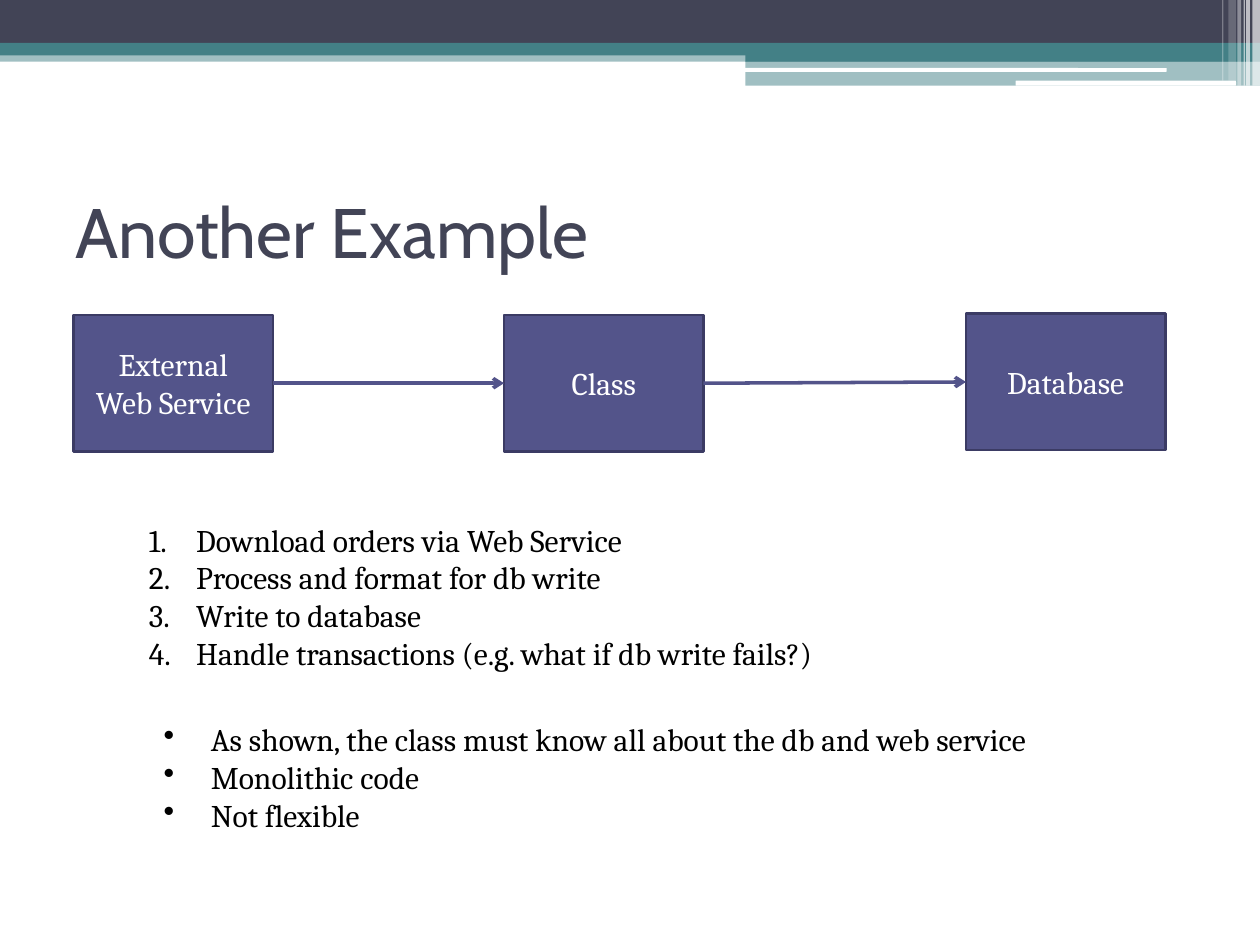
"""Build the "Another Example" slide on a grid of 120 columns by 90 rows."""
from dataclasses import dataclass

from lxml.etree import SubElement
from pptx import Presentation
from pptx.dml.color import RGBColor
from pptx.enum.shapes import MSO_CONNECTOR, MSO_SHAPE
from pptx.enum.text import MSO_ANCHOR, PP_ALIGN
from pptx.oxml.ns import qn
from pptx.util import Inches, Pt


@dataclass(frozen=True)
class Theme:
    dark: RGBColor = RGBColor.from_string("424456")
    teal: RGBColor = RGBColor.from_string("438086")
    white: RGBColor = RGBColor.from_string("FFFFFF")
    black: RGBColor = RGBColor.from_string("000000")
    violet: RGBColor = RGBColor.from_string("53548A")
    border: RGBColor = RGBColor.from_string("3B3B64")
    title_font: str = "Cabin"
    body_font: str = "Cambria"
    title_size: int = 40
    body_size: int = 18


theme = Theme()
presentation = Presentation()
presentation.slide_width = Inches(10)
presentation.slide_height = Inches(7.5)
slide = presentation.slides.add_slide(presentation.slide_layouts[6])
unit = presentation.slide_width / 120


def add_block(kind, area, color, opacity=100):
    shape = slide.shapes.add_shape(kind, *(round(value * unit) for value in area))
    shape.shadow.inherit = False
    shape.fill.solid()
    shape.fill.fore_color.rgb = color
    shape.line.fill.background()
    if opacity < 100:
        fill_color = shape.fill._xPr.find(qn("a:solidFill"))[0]
        SubElement(fill_color, qn("a:alpha"), val=str(opacity * 1000))
    return shape


def add_text(paragraph, text, color, font=theme.body_font, size=theme.body_size):
    run = paragraph.add_run()
    run.text = text
    run.font.name = font
    run.font.size = Pt(size)
    run.font.color.rgb = color


header_bands = [
    ((0, 4.8, 120, 1.08), theme.teal, 50),
    ((0, 0, 120, 4.08), theme.dark, 100),
    ((0, 4.08, 120, 1.2), theme.teal, 100),
    ((71, 4.68, 49, 1.2), theme.teal, 100),
    ((71, 5.8, 49, 2.36), theme.teal, 50),
]
for area, color, opacity in header_bands:
    add_block(MSO_SHAPE.RECTANGLE, area, color, opacity)

for area in [(70.92, 6.48, 40.2, 0.36), (96.72, 7.68, 21, 0.48)]:
    add_block(MSO_SHAPE.ROUNDED_RECTANGLE, area, theme.white)

header_stripes = [
    (119.28, 0.72, 8.16, 65),
    (118.68, 0.36, 8.16, 65),
    (118.44, 0.12, 8.16, 60),
    (117.84, 0.36, 8.16, 40),
    (117, 0.72, 7.68, 20),
    (116.4, 0.12, 7.68, 30),
]
for column, width, height, opacity in header_stripes:
    add_block(MSO_SHAPE.RECTANGLE, (column, 0, width, height), theme.white, opacity)

title = slide.shapes.add_textbox(*(round(value * unit) for value in (6, 15, 108, 14)))
title.text_frame.word_wrap = True
title.text_frame.vertical_anchor = MSO_ANCHOR.MIDDLE
add_text(title.text_frame.paragraphs[0], "Another Example", theme.dark,
         theme.title_font, theme.title_size)

boxes = []
for column, row, lines in [
    (7, 30, ["External", "Web Service"]),
    (48, 30, ["Class"]),
    (92, 29.88, ["Database"]),
]:
    box = add_block(MSO_SHAPE.RECTANGLE, (column, row, 19, 13), theme.violet)
    box.line.color.rgb = theme.border
    box.line.width = Pt(1.5)
    box.text_frame.word_wrap = True
    box.text_frame.vertical_anchor = MSO_ANCHOR.MIDDLE
    paragraph = box.text_frame.paragraphs[0]
    paragraph.alignment = PP_ALIGN.CENTER
    for index, line in enumerate(lines):
        if index:
            paragraph.add_line_break()
        add_text(paragraph, line, theme.white)
    boxes.append(box)

right_side, left_side = 3, 1
for source, target in zip(boxes, boxes[1:]):
    arrow = slide.shapes.add_connector(MSO_CONNECTOR.STRAIGHT, 0, 0, 0, 0)
    arrow.begin_connect(source, right_side)
    arrow.end_connect(target, left_side)
    arrow.line.color.rgb = theme.violet
    arrow.line.width = Pt(2)
    SubElement(arrow.line._get_or_add_ln(), qn("a:tailEnd"), type="arrow")
    SubElement(arrow._element.spPr, qn("a:effectLst"))

steps = [
    "Download orders via Web Service",
    "Process and format for db write",
    "Write to database",
    "Handle transactions (e.g. what if db write fails?)",
]
drawbacks = [
    "As shown, the class must know all about the db and web service",
    "Monolithic code",
    "Not flexible",
]
indent = round(4.5 * unit)
for column, row, items, bullet, setting in [
    (13, 49, steps, "a:buAutoNum", {"type": "arabicPeriod"}),
    (14.4, 68, drawbacks, "a:buChar", {"char": "•"}),
]:
    area = (column, row, 86, 15.6)
    text_box = slide.shapes.add_textbox(*(round(value * unit) for value in area))
    frame = text_box.text_frame
    frame.word_wrap = True
    for index, item in enumerate(items):
        paragraph = frame.add_paragraph() if index else frame.paragraphs[0]
        properties = paragraph._p.get_or_add_pPr()
        properties.set("marL", str(indent))
        properties.set("indent", str(-indent))
        SubElement(properties, qn(bullet), **setting)
        add_text(paragraph, item, theme.black)

presentation.save("out.pptx")
